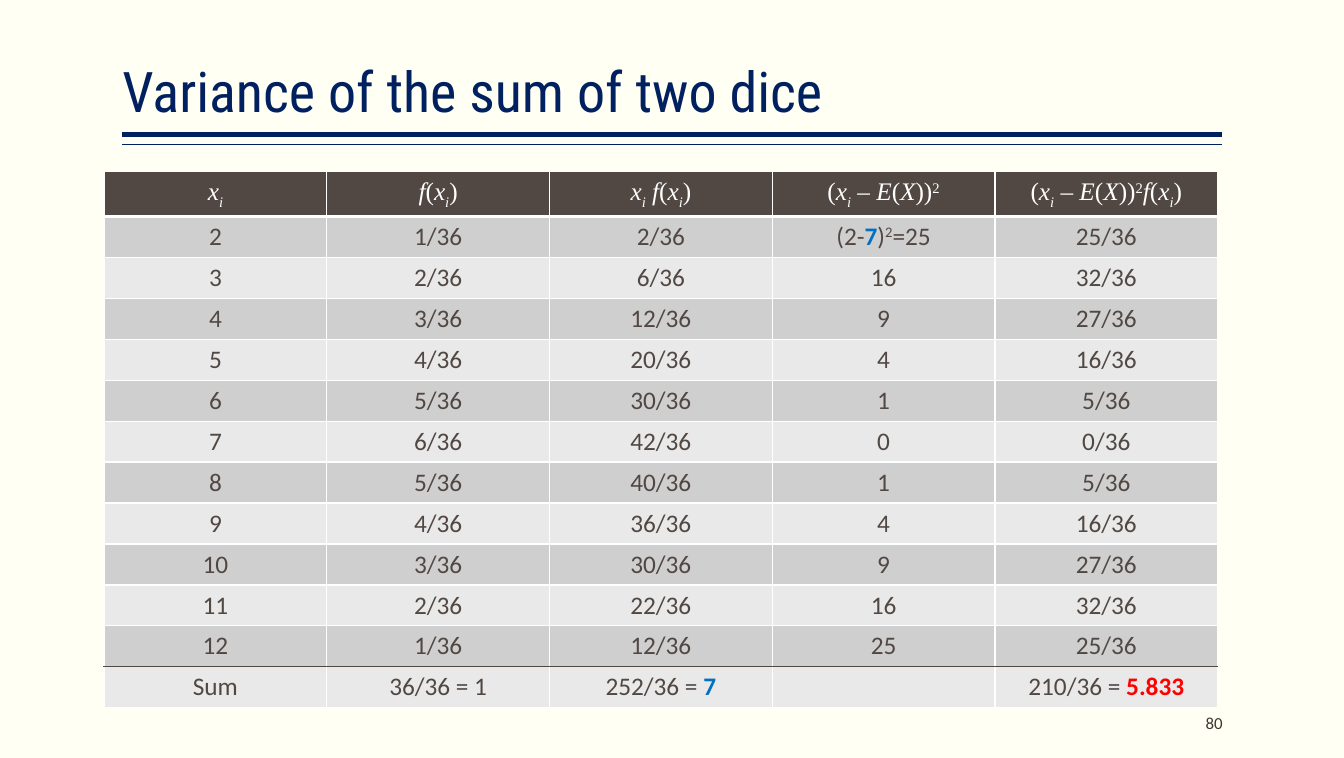
"""Build the slide on the variance of the sum of two dice."""
import pptx
import pptx.dml.color
import pptx.enum.shapes
import pptx.enum.text
import pptx.oxml
import pptx.oxml.ns
import pptx.util

Inches = pptx.util.Inches
Pt = pptx.util.Pt
ALIGN = pptx.enum.text.PP_ALIGN
ANCHOR = pptx.enum.text.MSO_ANCHOR
COLORS = {
    "paper": "FFFFF3", "navy": "002060", "brown": "514843", "number": "3D3632",
    "white": "FFFFFF", "dark_band": "D0CFCF", "light_band": "E9E9E9",
    "blue": "0070C0", "red": "FF0000",
}
RUN_STYLES = {
    "plain": {},
    "italic": {"italic": True},
    "sub": {"italic": True, "baseline": -25},
    "sup": {"baseline": 30},
    "mean": {"bold": True, "color": "blue"},
    "variance": {"bold": True, "color": "red"},
}


def rgb(name):
    return pptx.dml.color.RGBColor.from_string(COLORS[name])


class DiceSlide:
    def __init__(self, prs):
        self.s = prs.slides.add_slide(prs.slide_layouts[6])
        self.s.background.fill.solid()
        self.s.background.fill.fore_color.rgb = rgb("paper")

    def runs(self, p, runs, font, size, color):
        for text, style in runs:
            look = RUN_STYLES[style]
            r = p.add_run()
            r.text = text
            r.font.name = font
            r.font.size = Pt(size)
            r.font.bold = look.get("bold", False)
            r.font.italic = look.get("italic", False)
            r.font.color.rgb = rgb(look.get("color", color))
            if "baseline" in look:
                r.font._element.set("baseline", str(look["baseline"] * 1000))

    def text(self, box, text, font, size, color, align, anchor, spacing=1.0):
        sp = self.s.shapes.add_textbox(*map(Inches, box))
        tf = sp.text_frame
        tf.word_wrap = True
        tf.margin_left = tf.margin_right = 0
        tf.vertical_anchor = anchor
        p = tf.paragraphs[0]
        p.alignment = align
        p.line_spacing = spacing
        self.runs(p, [(text, "plain")], font, size, color)

    def rule(self, y, width):
        sp = self.s.shapes.add_connector(
            pptx.enum.shapes.MSO_CONNECTOR.STRAIGHT,
            Inches(1.21), Inches(y), Inches(12.09), Inches(y))
        sp.line.color.rgb = rgb("navy")
        sp.line.width = Pt(width)
        pptx.oxml.ns.qn("a:effectLst")
        sp._element.spPr.append(pptx.oxml.parse_xml(
            f'<a:effectLst {pptx.oxml.ns.nsdecls("a")}/>'))

    def border(self, cell, side, color, width):
        cell._tc.get_or_add_tcPr().append(pptx.oxml.parse_xml(
            f'<a:ln{side} {pptx.oxml.ns.nsdecls("a")} w="{Pt(width)}">'
            f'<a:solidFill><a:srgbClr val="{COLORS[color]}"/></a:solidFill>'
            f'</a:ln{side}>'))

    def cell(self, cell, runs, row, last):
        edges = {side: ("white", 1) for side in "LRTB"}
        if row == 0:
            edges["B"] = ("white", 3)
        elif row == 1:
            edges["T"] = ("white", 3)
        if row == last - 1:
            edges["B"] = ("brown", 1)
        elif row == last:
            edges["T"] = ("brown", 1)
        for side, (color, width) in edges.items():
            self.border(cell, side, color, width)
        band = "dark_band" if row % 2 else "light_band"
        cell.fill.solid()
        cell.fill.fore_color.rgb = rgb(band if row else "brown")
        cell.vertical_anchor = ANCHOR.MIDDLE
        p = cell.text_frame.paragraphs[0]
        p.alignment = ALIGN.CENTER
        font, color = ("Calibri", "brown") if row else ("Times New Roman", "white")
        self.runs(p, runs, font, 18, color)

    def table(self, box, rows):
        sp = self.s.shapes.add_table(len(rows), len(rows[0]), *map(Inches, box))
        table = sp.table
        table.first_row = table.horz_banding = False
        for i, row in enumerate(rows):
            for j, runs in enumerate(row):
                self.cell(table.cell(i, j), runs, i, len(rows) - 1)


def dice_rows():
    x = [("x", "italic"), ("i", "sub")]
    f = [("f", "italic"), ("(", "plain"), *x, (")", "plain")]
    square = [("(", "plain"), *x, (" – E", "italic"), ("(", "plain"),
              ("X", "italic"), ("))", "plain"), ("2", "sup")]
    rows = [[x, f, [*x, (" ", "italic"), *f], square, square + f]]
    for total in range(2, 13):
        ways = 6 - abs(total - 7)
        deviation = (total - 7) ** 2
        values = [total, f"{ways}/36", f"{total * ways}/36",
                  deviation, f"{deviation * ways}/36"]
        rows.append([[(str(value), "plain")] for value in values])
    rows[1][3] = [("(2-", "plain"), ("7", "mean"), (")", "plain"),
                  ("2", "sup"), ("=25", "plain")]
    rows.append([[("Sum", "plain")], [("36/36 = 1", "plain")],
                 [("252/36 = ", "plain"), ("7", "mean")], [],
                 [("210/36 = ", "plain"), ("5.833", "variance")]])
    return rows


def main():
    prs = pptx.Presentation()
    prs.slide_width, prs.slide_height = Inches(13.3), Inches(7.5)
    slide = DiceSlide(prs)
    slide.rule(1.33, 3)
    slide.rule(1.43, 1)
    slide.text((1.21, 0.08, 10.89, 1.2), "Variance of the sum of two dice",
               "Roboto Condensed", 39.9, "navy", ALIGN.LEFT, ANCHOR.BOTTOM, 0.9)
    slide.text((10.1, 6.95, 2, 0.4), "80", "Calibri", 12, "number",
               ALIGN.RIGHT, ANCHOR.MIDDLE)
    slide.table((1.03, 1.7, 11.02, 5.27), dice_rows())
    prs.save("out.pptx")


if __name__ == "__main__":
    main()
